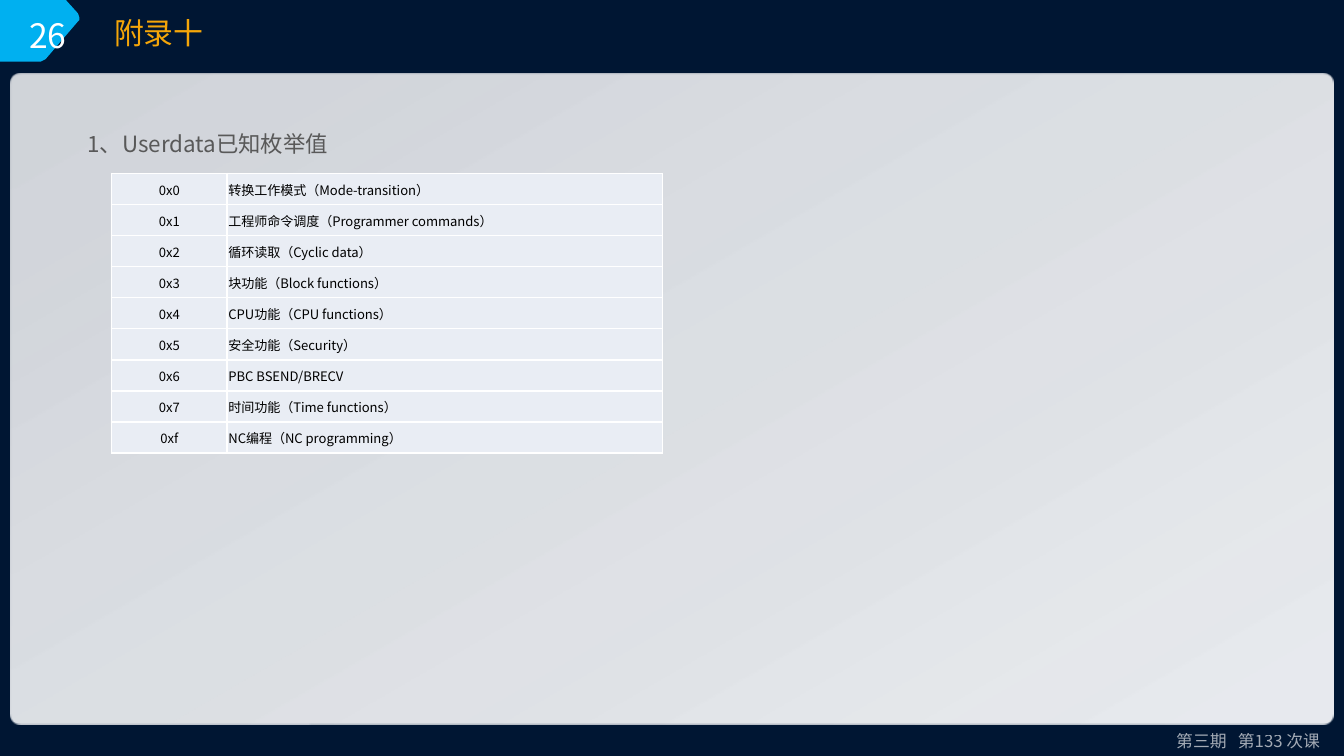
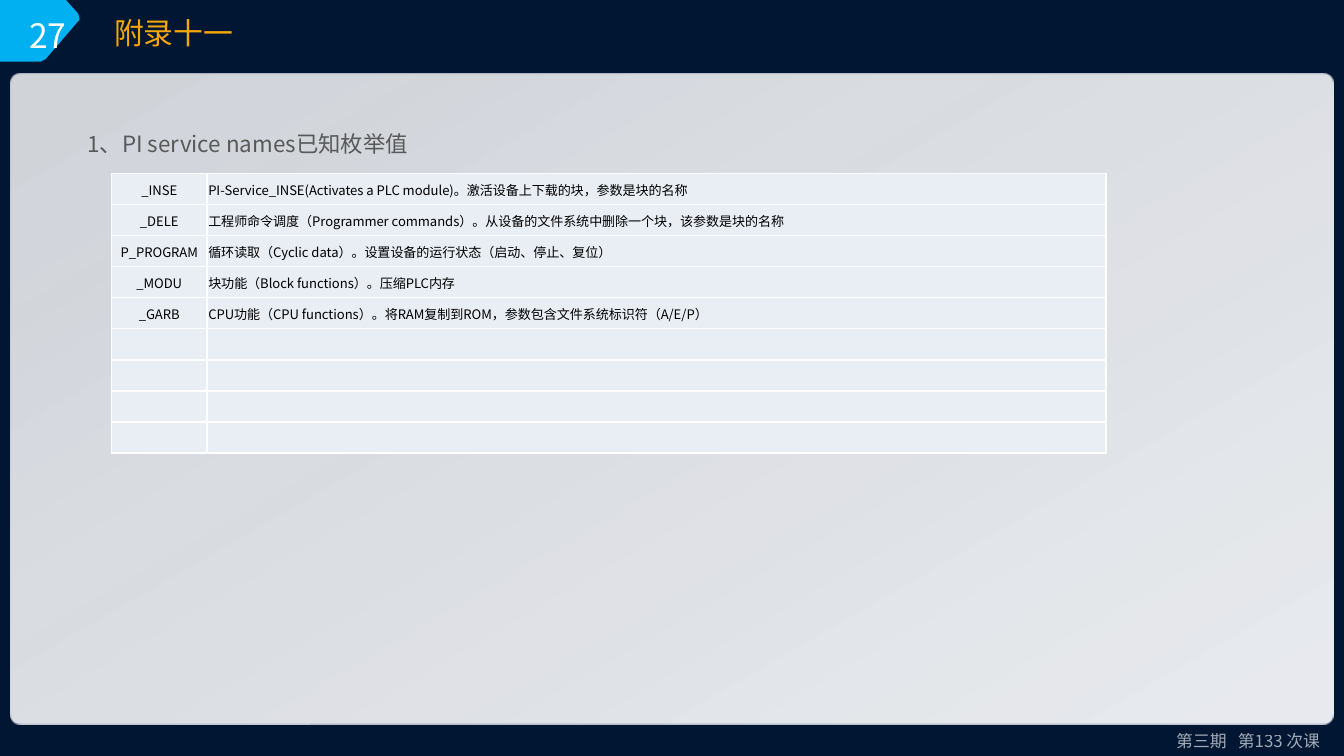
from pptx import Presentation
from pptx.dml.color import RGBColor
from pptx.enum.shapes import MSO_SHAPE as Shape
from pptx.enum.text import MSO_ANCHOR as Anchor, MSO_AUTO_SIZE as AutoSize, PP_ALIGN as Align
from pptx.oxml.ns import qn
from pptx.util import Inches, Pt
from lxml.etree import SubElement

FONT = "Noto Sans CJK SC"
COLORS = {
    "navy": "001633",
    "badge": "00B0F0",
    "white": "FFFFFF",
    "mist": "FBFCFE",
    "title": "F5A609",
    "heading": "595959",
    "cell": "E9EDF4",
    "text": "000000",
}
BADGE_OUTLINE = [(49, 0), (58, 10), (59, 13), (59, 15), (58, 16), (34, 44),
                 (32, 45), (30, 46), (28, 46), (0, 46)]
TABLE_ROWS = 9
ROW_HEIGHT = 2.08 / TABLE_ROWS

SLIDES = [
    {
        "number": "26",
        "title": "附录十",
        "heading": "1、Userdata已知枚举值",
        "columns": (0.86, 3.24),
        "rows": [
            ("0x0", "转换工作模式（Mode-transition）"),
            ("0x1", "工程师命令调度（Programmer commands）"),
            ("0x2", "循环读取（Cyclic data）"),
            ("0x3", "块功能（Block functions）"),
            ("0x4", "CPU功能（CPU functions）"),
            ("0x5", "安全功能（Security）"),
            ("0x6", "PBC BSEND/BRECV"),
            ("0x7", "时间功能（Time functions）"),
            ("0xf", "NC编程（NC programming）"),
        ],
    },
    {
        "number": "27",
        "title": "附录十一",
        "heading": "1、PI service names已知枚举值",
        "columns": (0.71, 6.69),
        "rows": [
            ("_INSE", "PI-Service_INSE(Activates a PLC module)。激活设备上下载的块，参数是块的名称"),
            ("_DELE", "工程师命令调度（Programmer commands）。从设备的文件系统中删除一个块，该参数是块的名称"),
            ("P_PROGRAM", "循环读取（Cyclic data）。设置设备的运行状态（启动、停止、复位）"),
            ("_MODU", "块功能（Block functions）。压缩PLC内存"),
            ("_GARB", "CPU功能（CPU functions）。将RAM复制到ROM，参数包含文件系统标识符（A/E/P）"),
        ],
    },
]


def rgb(name):
    return RGBColor.from_string(COLORS[name])


def set_alpha(element, percent):
    for color in element.iter(qn("a:srgbClr")):
        SubElement(color, qn("a:alpha")).set("val", str(percent * 1000))


def add_run(paragraph, text, size, color):
    run = paragraph.add_run()
    run.text = text
    run.font.size = Pt(size)
    run.font.color.rgb = rgb(color)
    run.font.name = FONT
    SubElement(run.font._element, qn("a:ea")).set("typeface", FONT)
    return run


def place(shape, box):
    shape.left, shape.top, shape.width, shape.height = map(Inches, box)


def prepare_text(shape, align=Align.LEFT):
    frame = shape.text_frame
    frame.word_wrap = True
    frame.auto_size = AutoSize.SHAPE_TO_FIT_TEXT
    frame.vertical_anchor = Anchor.TOP
    paragraph = frame.paragraphs[0]
    paragraph.alignment = align
    paragraph.space_before = Pt(0)
    return paragraph


def add_badge(slide):
    builder = slide.shapes.build_freeform(0, 0, scale=Inches(0.01))
    builder.add_line_segments(BADGE_OUTLINE, close=True)
    badge = builder.convert_to_shape()
    badge.shadow.inherit = False
    badge.fill.solid()
    badge.fill.fore_color.rgb = rgb("badge")
    badge.line.fill.background()
    return badge


def add_panel(slide, box):
    panel = slide.shapes.add_shape(Shape.ROUNDED_RECTANGLE, *map(Inches, box))
    panel.adjustments[0] = 0.016
    panel.shadow.inherit = False
    panel.line.fill.background()
    panel.fill.gradient()
    panel.fill.gradient_angle = 300
    stops = ((0.05, "white", 81), (1, "mist", 92))
    for stop, (position, color, alpha) in zip(panel.fill.gradient_stops, stops):
        stop.position = position
        stop.color.rgb = rgb(color)
        set_alpha(stop._gs, alpha)
    return panel


def add_footer(slide, box):
    footer = slide.shapes.add_textbox(*map(Inches, box))
    paragraph = prepare_text(footer, Align.RIGHT)
    for text, spacing in (("第三期", 0), (" ", 400), ("第133 次课", 0)):
        run = add_run(paragraph, text, 9, "white")
        run.font._element.set("spc", str(spacing))
        set_alpha(run.font._element, 63)
    return footer


def move_frame_to_layout(slide, layout):
    frame = [
        add_badge(slide),
        add_panel(slide, (0.08, 0.55, 9.84, 4.84)),
        add_footer(slide, (8.15, 5.39, 1.77, 0.25)),
    ]
    for shape_id, shape in enumerate(frame, 20):
        shape._element.nvSpPr.cNvPr.set("id", str(shape_id))
        layout.shapes._spTree.append(shape._element)


def add_header(slide, number, title):
    number_box = slide.shapes.add_textbox(*map(Inches, (0.12, 0.06, 0.5, 0.4)))
    add_run(prepare_text(number_box), number, 18, "white")
    place(slide.shapes.title, (0.75, 0.06, 6.3, 0.37))
    add_run(prepare_text(slide.shapes.title), title, 16, "title")


def add_heading(slide, text, box):
    heading = slide.placeholders[1]
    place(heading, box)
    paragraph = prepare_text(heading)
    paragraph.line_spacing = 1.5
    properties = paragraph._p.get_or_add_pPr()
    properties.set("marL", "0")
    properties.set("indent", "0")
    SubElement(properties, qn("a:buNone"))
    add_run(paragraph, text, 12, "heading")


def add_borders(cell):
    properties = cell._tc.get_or_add_tcPr()
    for side in ("L", "R", "T", "B"):
        line = SubElement(properties, qn(f"a:ln{side}"), w=str(Pt(1)))
        fill = SubElement(line, qn("a:solidFill"))
        SubElement(fill, qn("a:srgbClr"), val=COLORS["white"])


def fill_cell(cell, text, align):
    add_borders(cell)
    cell.fill.solid()
    cell.fill.fore_color.rgb = rgb("cell")
    cell.vertical_anchor = Anchor.MIDDLE
    cell.margin_left = cell.margin_right = cell.margin_top = Inches(0.01)
    cell.margin_bottom = 0
    paragraph = cell.text_frame.paragraphs[0]
    paragraph.alignment = align
    if text:
        add_run(paragraph, text, 7, "text")
    else:
        SubElement(paragraph._p, qn("a:endParaRPr"), sz="700")


def add_value_table(slide, rows, columns, left, top):
    box = (left, top, sum(columns), ROW_HEIGHT * TABLE_ROWS)
    table = slide.shapes.add_table(TABLE_ROWS, len(columns), *map(Inches, box)).table
    table.first_row = table.horz_banding = False
    for column, width in zip(table.columns, columns):
        column.width = Inches(width)
    blanks = [("", "")] * (TABLE_ROWS - len(rows))
    for row, values in zip(table.rows, rows + blanks):
        row.height = Inches(ROW_HEIGHT)
        for cell, text, align in zip(row.cells, values, (Align.CENTER, Align.LEFT)):
            fill_cell(cell, text, align)


def add_appendix_slide(presentation, layout, content):
    slide = presentation.slides.add_slide(layout)
    add_header(slide, content["number"], content["title"])
    add_heading(slide, content["heading"], (0.55, 0.82, 8.43, 0.36))
    add_value_table(slide, content["rows"], content["columns"], 0.83, 1.29)
    return slide


def main():
    presentation = Presentation()
    presentation.slide_width = Inches(10)
    presentation.slide_height = presentation.slide_width * 9 // 16
    background = presentation.slide_master.background.fill
    background.solid()
    background.fore_color.rgb = rgb("navy")
    layout = presentation.slide_layouts[1]
    slides = [add_appendix_slide(presentation, layout, content) for content in SLIDES]
    move_frame_to_layout(slides[0], layout)
    presentation.save("out.pptx")


if __name__ == "__main__":
    main()
